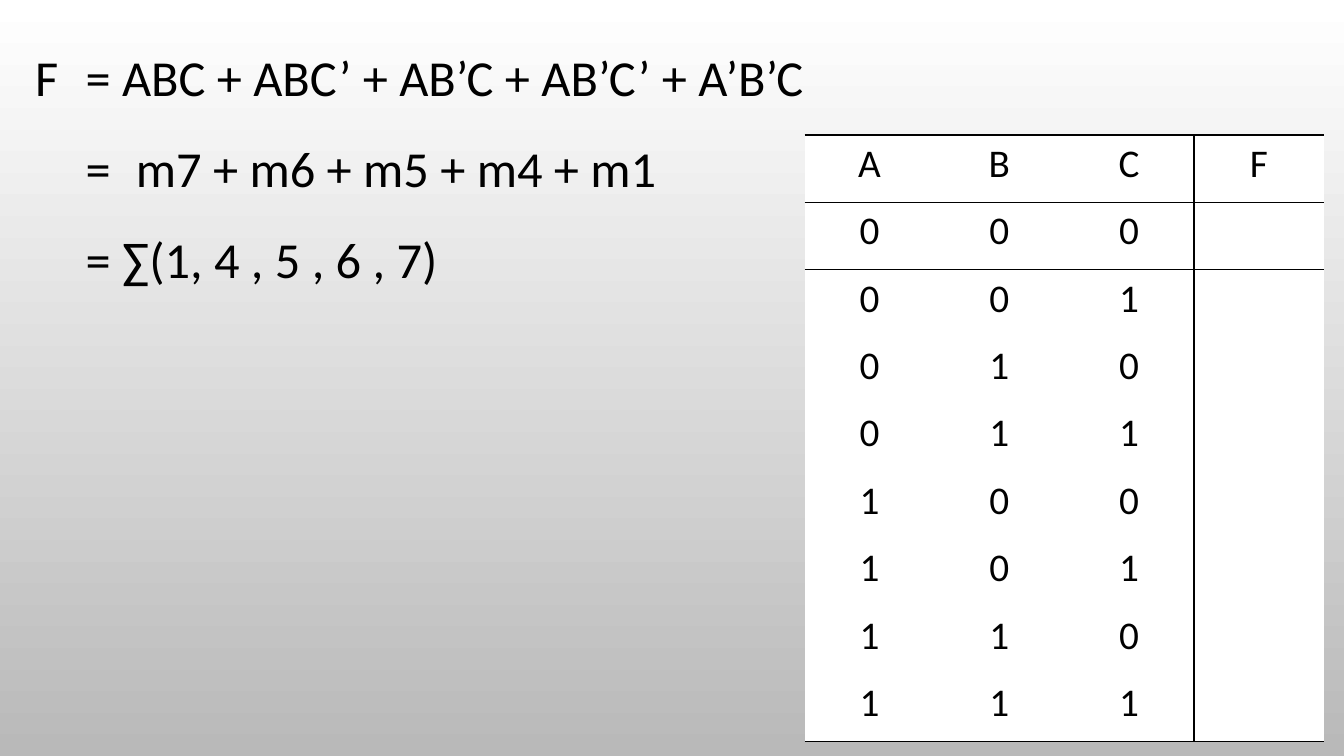
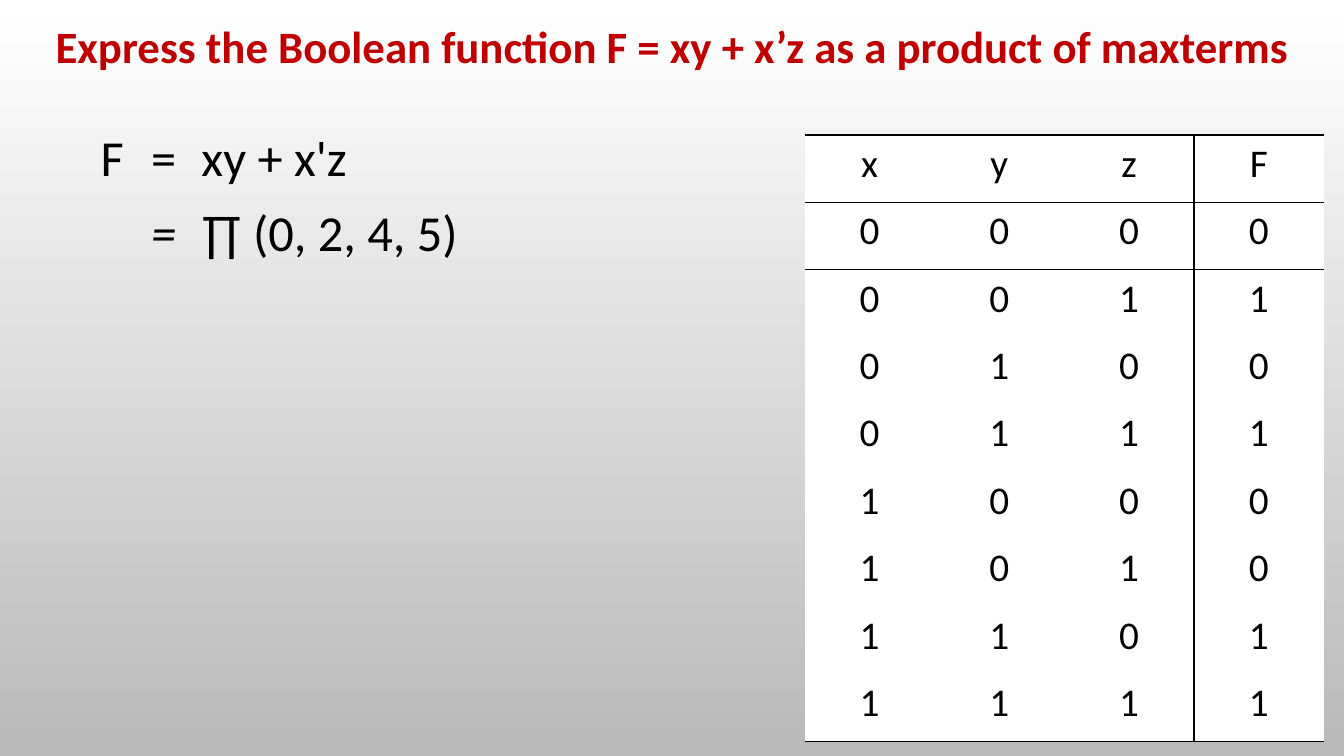
from itertools import product

from lxml.etree import SubElement
from pptx import Presentation
from pptx.dml.color import RGBColor
from pptx.enum.text import MSO_ANCHOR, MSO_AUTO_SIZE, PP_ALIGN
from pptx.oxml.ns import qn
from pptx.util import Inches, Pt

# Shared look
BLACK = RGBColor(0x00, 0x00, 0x00)
WHITE = RGBColor(0xFF, 0xFF, 0xFF)
GREY = RGBColor(0xB9, 0xB9, 0xB9)
RED = RGBColor(0xC0, 0x00, 0x00)
FONT = "Calibri"
TITLE_ONLY, BLANK = 5, 6
NO_STYLE_NO_GRID = "{2D5ABB26-0587-4C30-8999-92F81FD0307C}"
TAB_STEP, TAB_COUNT = 0.5, 4

# Boxes: left, top, width, height in inches
TITLE_BOX = (0.13, 0.13, 13.08, 0.64)
TABLE_BOX = (7.98, 1.34, 5.15, 6.02)


def place(box):
    return [Inches(v) for v in box]


def style_run(r, size, color=BLACK, bold=False, italic=False):
    r.font.name = FONT
    r.font.size = Pt(size)
    r.font.bold = bold
    r.font.italic = italic
    r.font.color.rgb = color


def set_background(master):
    fill = master.background.fill
    fill.gradient()
    fill.gradient_angle = 270
    for stop, color, position in zip(fill.gradient_stops, (WHITE, GREY), (0, 1)):
        stop.color.rgb = color
        stop.position = position


def add_title(s, text, box):
    title = s.shapes.title
    title.left, title.top, title.width, title.height = place(box)
    tf = title.text_frame
    tf.text = text
    tf.auto_size = MSO_AUTO_SIZE.NONE
    tf.vertical_anchor = MSO_ANCHOR.MIDDLE
    p = tf.paragraphs[0]
    p.alignment = PP_ALIGN.CENTER
    style_run(p.runs[0], 32, RED, bold=True)


def add_equations(s, lines, box, spacing, indent=0.0, wrap=True):
    """Each line is a list of (text, italic) runs aligned on tab stops."""
    tf = s.shapes.add_textbox(*place(box)).text_frame
    tf.word_wrap = wrap
    for i, line in enumerate(lines):
        p = tf.paragraphs[0] if i == 0 else tf.add_paragraph()
        p.line_spacing = spacing
        for text, italic in line:
            r = p.add_run()
            r.text = text
            style_run(r, 36, italic=italic)
        pPr = p._p.get_or_add_pPr()
        pPr.set("marL", str(Inches(indent)))
        pPr.set("indent", "0")
        tabs = SubElement(pPr, qn("a:tabLst"))
        for n in range(1, TAB_COUNT + 1):
            SubElement(tabs, qn("a:tab"), pos=str(Inches(n * TAB_STEP)), algn="l")


def add_borders(cell, sides):
    """Draw the named sides (a subset of L, R, T, B) as 1 pt black lines."""
    tcPr = cell._tc.get_or_add_tcPr()
    for side in "LRTB":
        if side in sides:
            ln = SubElement(tcPr, qn(f"a:ln{side}"), w=str(Pt(1)))
            fill = SubElement(ln, qn("a:solidFill"))
            SubElement(fill, qn("a:srgbClr"), val=str(BLACK))


def add_truth_table(s, variables, outputs, box):
    inputs = product((0, 1), repeat=len(variables))
    rows = [(*variables, "F")] + [(*bits, f) for bits, f in zip(inputs, outputs)]
    last_row, last_col = len(rows) - 1, len(variables)
    frame = s.shapes.add_table(last_row + 1, last_col + 1, *place(box))
    table = frame.table
    table.first_row = table.horz_banding = False
    table._tbl.tblPr.find(qn("a:tableStyleId")).text = NO_STYLE_NO_GRID

    for i, row in enumerate(rows):
        for j, value in enumerate(row):
            cell = table.cell(i, j)
            # Rules around the header, under the last row, before F
            sides = "T" if i <= 1 else ""
            sides += "B" if i in (0, last_row) else ""
            sides += {last_col - 1: "R", last_col: "L"}.get(j, "")
            add_borders(cell, sides)
            cell.fill.solid()
            cell.fill.fore_color.rgb = WHITE
            cell.text_frame.text = str(value)
            p = cell.text_frame.paragraphs[0]
            p.alignment = PP_ALIGN.CENTER
            for r in p.runs:
                style_run(r, 28)


def build_minterm_slide(prs):
    s = prs.slides.add_slide(prs.slide_layouts[BLANK])
    lines = [
        [("F\t= ABC + ABC’ + AB’C + AB’C’ + A’B’C", False)],
        [("\t=\tm7 + m6 + m5 + m4 + m1", False)],
        [("\t= ∑(1, 4 , 5 , 6 , 7)", False)],
    ]
    add_equations(s, lines, (0.25, 0.11, 8.57, 2.73), 1.5, wrap=False)
    add_truth_table(s, "ABC", [""] * 8, TABLE_BOX)


def build_maxterm_slide(prs):
    s = prs.slides.add_slide(prs.slide_layouts[TITLE_ONLY])
    add_title(s, "Express the Boolean function F = xy + x’z as a product of maxterms",
              TITLE_BOX)
    lines = [
        [("F\t=\txy + x'z", False)],
        [("\t=\t", True), ("∏ (0, 2, 4, 5)", False)],
    ]
    add_equations(s, lines, (0.4, 1.05, 6.21, 3.13), 1.25, indent=0.5)
    add_truth_table(s, "xyz", (0, 1, 0, 1, 0, 0, 1, 1), TABLE_BOX)


def main():
    prs = Presentation()
    prs.slide_width, prs.slide_height = Inches(13.33), Inches(7.5)
    set_background(prs.slide_master)
    build_minterm_slide(prs)
    build_maxterm_slide(prs)
    prs.save("out.pptx")


if __name__ == "__main__":
    main()
